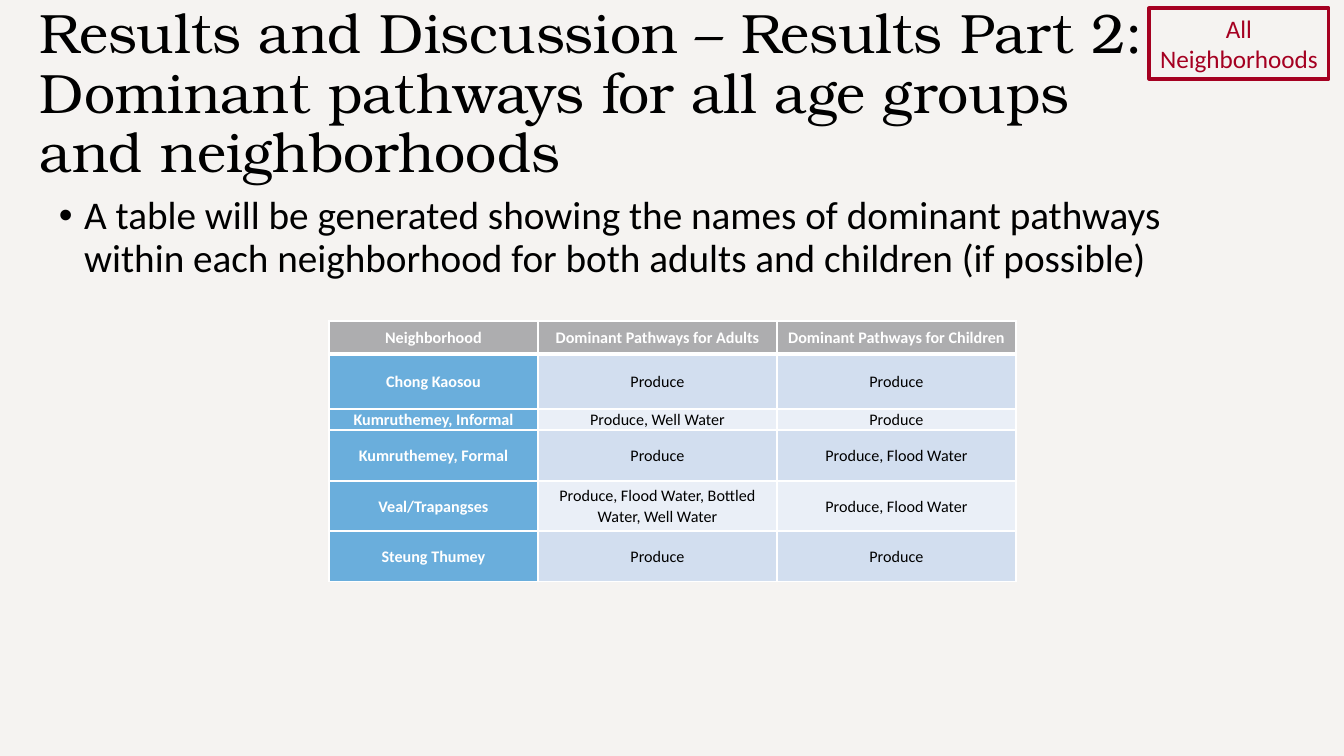
from lxml import etree
from pptx import Presentation, util as u
from pptx.dml.color import RGBColor
from pptx.enum import shapes, text
from pptx.oxml import ns

PX = 914400 / 100.8
BACKGROUND = RGBColor(0xF5, 0xF3, 0xF1)
BLACK = RGBColor(0, 0, 0)
WHITE = RGBColor(0xFF, 0xFF, 0xFF)
CRIMSON = RGBColor(0xA5, 0x00, 0x21)
GRAY = RGBColor(0xAD, 0xAD, 0xAF)
BLUE = RGBColor(0x6A, 0xAE, 0xDC)
BANDS = (RGBColor(0xEA, 0xEF, 0xF7), RGBColor(0xD2, 0xDE, 0xEF))

COLUMN_WIDTHS = (209, 239, 239)
ROW_HEIGHTS = (33, 55, 21, 51, 50, 51)
PATHWAYS = (
    ("Neighborhood", "Dominant Pathways for Adults", "Dominant Pathways for Children"),
    ("Chong Kaosou", "Produce", "Produce"),
    ("Kumruthemey, Informal", "Produce, Well Water", "Produce"),
    ("Kumruthemey, Formal", "Produce", "Produce, Flood Water"),
    ("Veal/Trapangses", "Produce, Flood Water, Bottled Water, Well Water", "Produce, Flood Water"),
    ("Steung Thumey", "Produce", "Produce"),
)


def px(n):
    """Turn pixels into EMU."""
    return u.Emu(round(n * PX))


def box(*lengths):
    """Turn left, top, width and height into EMU."""
    return [px(n) for n in lengths]


def write(tf, content, size, color, font="Calibri", bold=False, spacing=None, align=None):
    """Write one run into the first paragraph and return the paragraph."""
    tf.word_wrap = True
    p = tf.paragraphs[0]
    p.alignment = align
    p.line_spacing = spacing
    r = p.add_run()
    r.text = content
    r.font.name = font
    r.font.size = u.Pt(size)
    r.font.bold = bold
    r.font.color.rgb = color
    return p


def add_title(s, content):
    """Add the slide title."""
    tf = s.shapes.add_textbox(*box(30, 8, 1159, 174)).text_frame
    tf.vertical_anchor = text.MSO_ANCHOR.MIDDLE
    write(tf, content, 39.6, BLACK, font="TeX Gyre Bonum", spacing=0.9)


def add_bullet(s, content):
    """Add the bulleted statement."""
    tf = s.shapes.add_textbox(*box(49, 191, 1159, 480)).text_frame
    p = write(tf, content, 28, BLACK, spacing=0.9)
    p.space_before = u.Pt(10)
    props = p._p.get_or_add_pPr()
    props.set("marL", str(u.Inches(0.25)))
    props.set("indent", str(-u.Inches(0.25)))
    etree.SubElement(props, ns.qn("a:buFont"), typeface="Arial")
    etree.SubElement(props, ns.qn("a:buChar"), char="•")


def add_badge(s, content):
    """Add the outlined label in the corner."""
    sp = s.shapes.add_shape(shapes.MSO_SHAPE.RECTANGLE, *box(1149, 8, 180, 71))
    sp.shadow.inherit = False
    sp.fill.background()
    sp.line.color.rgb = CRIMSON
    sp.line.width = u.Pt(2.25)
    sp.text_frame.vertical_anchor = text.MSO_ANCHOR.TOP
    write(sp.text_frame, content, 18, CRIMSON, align=text.PP_ALIGN.CENTER)


def set_border(cell, side, width):
    """Draw a white border on one side of a cell."""
    props = cell._tc.get_or_add_tcPr()
    line = etree.SubElement(props, ns.qn(f"a:ln{side}"), w=str(u.Pt(width)))
    fill = etree.SubElement(line, ns.qn("a:solidFill"))
    etree.SubElement(fill, ns.qn("a:srgbClr"), val=str(WHITE))


def fill_cell(cell, content, row, column):
    """Style a cell by its place in the table and write its text."""
    header = row == 0
    strong = header or column == 0
    for side in "LRTB":
        thick = (header and side == "B") or (row == 1 and side == "T")
        set_border(cell, side, 3 if thick else 1)
    cell.fill.solid()
    cell.fill.fore_color.rgb = GRAY if header else BLUE if strong else BANDS[row % 2]
    cell.margin_left = cell.margin_right = px(7)
    cell.margin_top = cell.margin_bottom = 0
    cell.vertical_anchor = text.MSO_ANCHOR.MIDDLE
    write(cell.text_frame, content, 11.5, WHITE if strong else BLACK,
          bold=strong, spacing=1.07, align=text.PP_ALIGN.CENTER)


def add_pathway_table(s):
    """Add the table of dominant pathways."""
    place = box(329, 321, sum(COLUMN_WIDTHS), sum(ROW_HEIGHTS))
    table = s.shapes.add_table(len(ROW_HEIGHTS), len(COLUMN_WIDTHS), *place).table
    table.horz_banding = False
    for column, width in zip(table.columns, COLUMN_WIDTHS):
        column.width = px(width)
    for i, (height, contents) in enumerate(zip(ROW_HEIGHTS, PATHWAYS)):
        table.rows[i].height = px(height)
        for j, content in enumerate(contents):
            fill_cell(table.cell(i, j), content, i, j)


def main():
    """Build and save the slide."""
    prs = Presentation()
    prs.slide_width, prs.slide_height = px(1344), px(756)
    s = prs.slides.add_slide(prs.slide_layouts[6])
    s.background.fill.solid()
    s.background.fill.fore_color.rgb = BACKGROUND
    add_title(s, "Results and Discussion – Results Part 2: "
                 "Dominant pathways for all age groups and neighborhoods")
    add_bullet(s, "A table will be generated showing the names of dominant pathways "
                  "within each neighborhood for both adults and children (if possible)")
    add_badge(s, "All Neighborhoods")
    add_pathway_table(s)
    prs.save("out.pptx")


if __name__ == "__main__":
    main()
